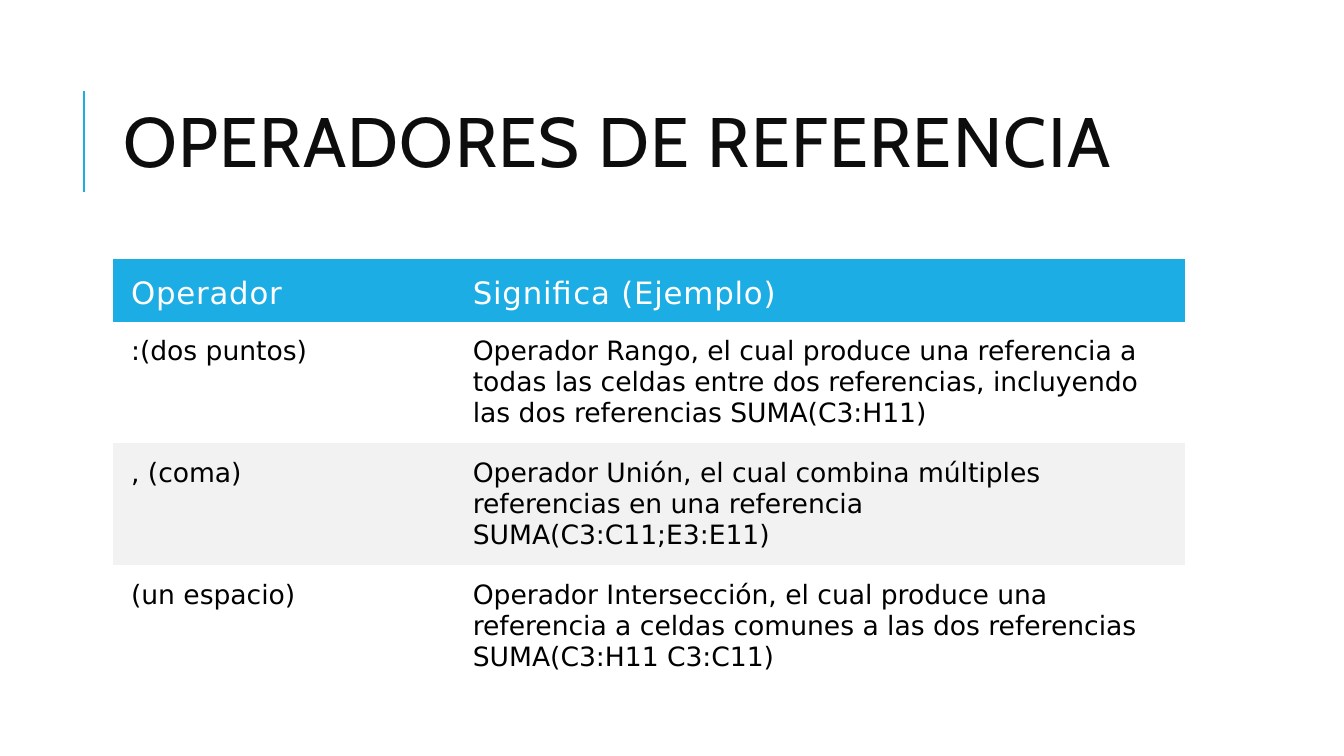
from lxml import etree
from pptx import Presentation
from pptx.dml.color import RGBColor
from pptx.enum.shapes import MSO_CONNECTOR
from pptx.enum.text import MSO_ANCHOR as Anchor, MSO_AUTO_SIZE as AutoSize, PP_ALIGN as Align
from pptx.oxml.ns import qn
from pptx.util import Inches, Pt

COLORS = {
    "accent": "1CADE4",
    "title": "0D0D0D",
    "header": "FFFFFF",
    "body": "000000",
    "band": "F2F2F2",
}
TITLE_FORMAT = {"size": Pt(50), "name": "Cabin", "bold": False}
HEADER_FORMAT = {"size": Pt(22), "name": "DejaVu Sans", "bold": False}
BODY_FORMAT = {"size": Pt(19), "name": "DejaVu Sans", "bold": False}
CELL_MARGINS = {
    "margin_left": Inches(0.18),
    "margin_top": Inches(0.14),
    "margin_right": Inches(0.18),
    "margin_bottom": Inches(0.07),
}
NO_STYLE_NO_GRID = "{2D5ABB26-0587-4C30-8999-92F81FD0307C}"
LEFT, WIDTH = Inches(1.12), Inches(10.63)
COLUMN_WIDTHS = [3.39, 7.24]
ROW_HEIGHTS = [0.62, 1.21, 1.21, 1.21]
OPERATORS = [
    ("Operador", "Significa (Ejemplo)"),
    (":(dos puntos)",
     "Operador Rango, el cual produce una referencia a todas las celdas "
     "entre dos referencias, incluyendo las dos referencias SUMA(C3:H11)"),
    (", (coma)",
     "Operador Unión, el cual combina múltiples referencias en una "
     "referencia SUMA(C3:C11;E3:E11)"),
    ("(un espacio)",
     "Operador Intersección, el cual produce una referencia a celdas "
     "comunes a las dos referencias SUMA(C3:H11 C3:C11)"),
]


def color(name):
    return RGBColor.from_string(COLORS[name])


def set_attributes(target, values):
    for name, value in values.items():
        setattr(target, name, value)


def write_text(paragraph, text, font_format, color_name, spacing=0):
    run = paragraph.add_run()
    run.text = text
    set_attributes(run.font, font_format)
    run.font.color.rgb = color(color_name)
    run.font._element.set("spc", str(spacing))


def set_space_before(paragraph, percent):
    paragraph.space_before = Pt(0)
    space_before = paragraph._p.pPr.find(qn("a:spcBef"))
    space_before.clear()
    etree.SubElement(space_before, qn("a:spcPct")).set("val", str(percent * 1000))


def add_title(slide, text):
    title = slide.shapes.title
    set_attributes(title, {"left": LEFT, "top": Inches(0.64),
                           "width": WIDTH, "height": Inches(1.64)})
    set_attributes(title.text_frame, {"vertical_anchor": Anchor.MIDDLE,
                                      "word_wrap": True, "auto_size": AutoSize.NONE})
    paragraph = title.text_frame.paragraphs[0]
    set_attributes(paragraph, {"alignment": Align.LEFT, "line_spacing": 0.8})
    write_text(paragraph, text, TITLE_FORMAT, "title", 100)


def add_accent_line(slide):
    line = slide.shapes.add_connector(
        MSO_CONNECTOR.STRAIGHT, Inches(0.83), Inches(1.9), Inches(0.83), Inches(0.9))
    line.line.color.rgb = color("accent")
    line.line.width = Pt(1.5)
    etree.SubElement(line._element.spPr, qn("a:effectLst"))


def fill_cell(cell, text, row_index):
    is_header = row_index == 0
    set_attributes(cell, CELL_MARGINS)
    cell.vertical_anchor = Anchor.MIDDLE if is_header else Anchor.TOP
    if row_index % 2 and not is_header:
        cell.fill.background()
    else:
        cell.fill.solid()
        cell.fill.fore_color.rgb = color("accent" if is_header else "band")
    if row_index == len(OPERATORS) - 1:
        cell.fill.background()
    paragraph = cell.text_frame.paragraphs[0]
    set_space_before(paragraph, 20)
    if is_header:
        write_text(paragraph, text, HEADER_FORMAT, "header", 60)
    else:
        write_text(paragraph, text, BODY_FORMAT, "body")


def add_operator_table(slide):
    frame = slide.shapes.add_table(
        len(OPERATORS), len(COLUMN_WIDTHS), LEFT, Inches(2.57),
        WIDTH, Inches(sum(ROW_HEIGHTS)))
    frame.element.find(".//" + qn("a:tableStyleId")).text = NO_STYLE_NO_GRID
    table = frame.table
    for column, width in zip(table.columns, COLUMN_WIDTHS):
        column.width = Inches(width)
    for row, height in zip(table.rows, ROW_HEIGHTS):
        row.height = Inches(height)
    for row_index, texts in enumerate(OPERATORS):
        for column_index, text in enumerate(texts):
            fill_cell(table.cell(row_index, column_index), text, row_index)


def main():
    presentation = Presentation()
    presentation.slide_width = Inches(13.33)
    presentation.slide_height = Inches(7.5)
    slide = presentation.slides.add_slide(presentation.slide_layouts[5])
    add_accent_line(slide)
    add_title(slide, "OPERADORES DE REFERENCIA")
    add_operator_table(slide)
    presentation.save("out.pptx")


if __name__ == "__main__":
    main()
